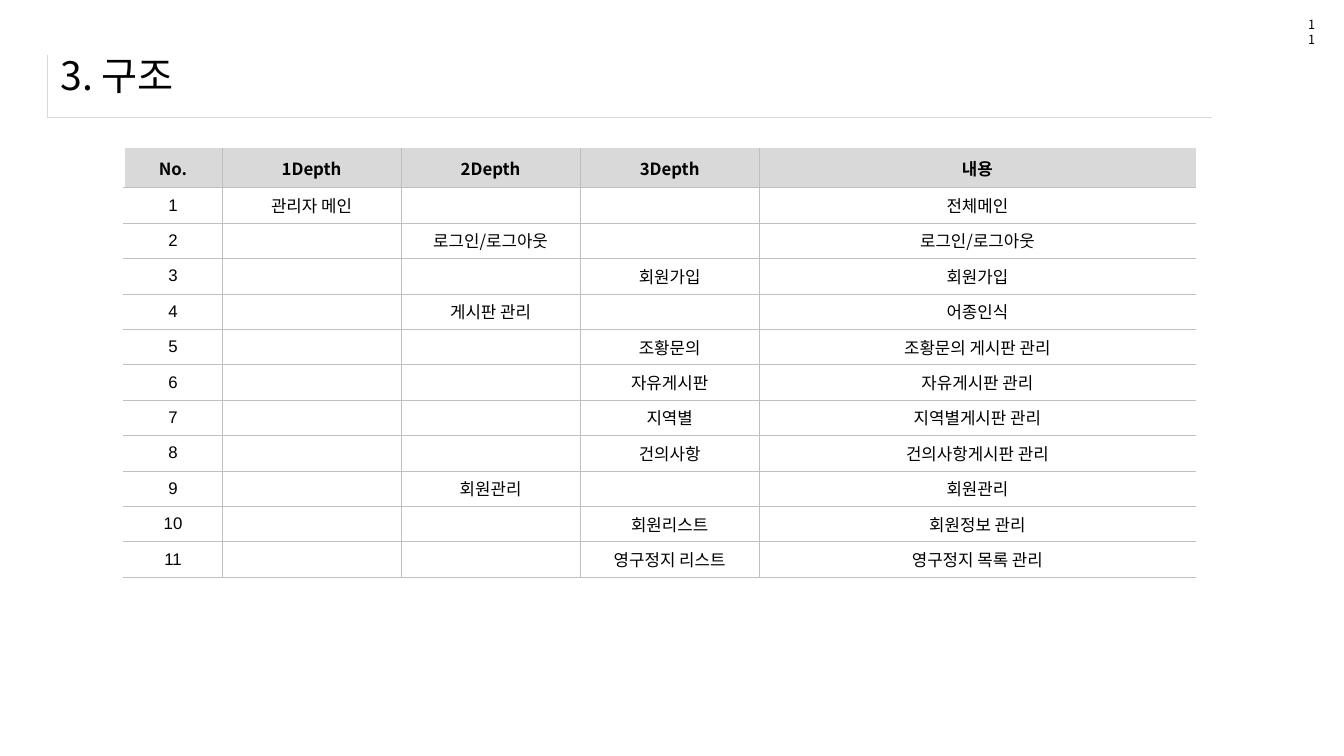
from lxml.etree import SubElement
from pptx import Presentation
from pptx.dml.color import RGBColor
from pptx.enum.text import MSO_ANCHOR, PP_ALIGN
from pptx.oxml.ns import qn
from pptx.util import Pt

TITLE = "3. 구조"
PAGE = "11"
HEAD = ("No.", "1Depth", "2Depth", "3Depth", "내용")
MENU = [
    (1, "관리자 메인", "전체메인"),
    (2, "로그인/로그아웃", "로그인/로그아웃"),
    (3, "회원가입", "회원가입"),
    (2, "게시판 관리", "어종인식"),
    (3, "조황문의", "조황문의 게시판 관리"),
    (3, "자유게시판", "자유게시판 관리"),
    (3, "지역별", "지역별게시판 관리"),
    (3, "건의사항", "건의사항게시판 관리"),
    (2, "회원관리", "회원관리"),
    (3, "회원리스트", "회원정보 관리"),
    (3, "영구정지 리스트", "영구정지 목록 관리"),
]
COLS = (70, 127.9, 127.9, 127.9, 311.8)
HEAD_H, ROW_H = 28.2, 25.3
KOREAN, LATIN = "Noto Sans CJK KR", "Arial"
BLACK, WHITE, GRID, PALE = "000000", "FFFFFF", "BFBFBF", "D9D9D9"
PLAIN = "{2D5ABB26-0587-4C30-8999-92F81FD0307C}"


def tint(color):
    return RGBColor.from_string(color)


def style(para, size, face=KOREAN, bold=False):
    font = para.font
    font.size = Pt(size)
    font.bold = bold
    font.color.rgb = tint(BLACK)
    font.name = face
    props = para._p.pPr.find(qn("a:defRPr"))
    SubElement(props, qn("a:ea"), typeface=KOREAN)


def label(text, box, size, anchor):
    frame = slide.shapes.add_textbox(*map(Pt, box)).text_frame
    frame.word_wrap = True
    frame.vertical_anchor = anchor
    para = frame.paragraphs[0]
    para.text = text
    style(para, size)


def grid(left, top, cols, rows):
    shape = slide.shapes.add_table(
        len(rows), len(cols), Pt(left), Pt(top), Pt(sum(cols)), Pt(sum(rows)))
    table = shape.table
    table.first_row = table.horz_banding = False
    table._tbl.tblPr.find(qn("a:tableStyleId")).text = PLAIN
    for col, width in zip(table.columns, cols):
        col.width = Pt(width)
    for row, height in zip(table.rows, rows):
        row.height = Pt(height)
    return table


def fill_cell(cell, text, edges, fill=None, face=KOREAN, bold=False):
    props = cell._tc.get_or_add_tcPr()
    for side in "LRTB":
        color, width = edges.get(side, (None, 0))
        line = SubElement(props, qn("a:ln" + side), w=str(Pt(width)))
        if color:
            paint = SubElement(line, qn("a:solidFill"))
            SubElement(paint, qn("a:srgbClr"), val=color)
        else:
            SubElement(line, qn("a:noFill"))
    if fill:
        cell.fill.solid()
        cell.fill.fore_color.rgb = tint(fill)
    else:
        cell.fill.background()
    cell.vertical_anchor = MSO_ANCHOR.MIDDLE
    para = cell.text_frame.paragraphs[0]
    para.alignment = PP_ALIGN.CENTER
    if text:
        para.text = text
    style(para, 12, face, bold)
    if not text:
        SubElement(para._p, qn("a:endParaRPr"), sz="1200")


deck = Presentation()
deck.slide_width, deck.slide_height = Pt(960), Pt(540)
slide = deck.slides.add_slide(deck.slide_layouts[6])

rule = grid(33.8, 39.2, [832.3], [44.6])
fill_cell(rule.cell(0, 0), "", {"L": (PALE, 0.25), "B": (PALE, 0.25)})
label(TITLE, (36, 29.5, 899, 48.2), 28, MSO_ANCHOR.MIDDLE)
label(PAGE, (927.4, 8.6, 19.4, 18), 9, MSO_ANCHOR.TOP)

lines = [HEAD]
for num, (depth, name, note) in enumerate(MENU, 1):
    names = [name if level == depth else "" for level in (1, 2, 3)]
    lines.append([str(num), *names, note])

table = grid(88.6, 105.8, COLS, [HEAD_H] + [ROW_H] * len(MENU))
last = len(COLS) - 1
for r, line in enumerate(lines):
    for c, text in enumerate(line):
        edges = {side: (GRID, 0.25) for side in "LRTB"}
        if c == 0:
            edges["L"] = (WHITE, 1)
        if c == last:
            del edges["R"]
        if r == 0:
            del edges["T"]
        face = LATIN if r and c == 0 else KOREAN
        fill_cell(table.cell(r, c), text, edges, None if r else PALE, face, r == 0)

deck.save("out.pptx")
